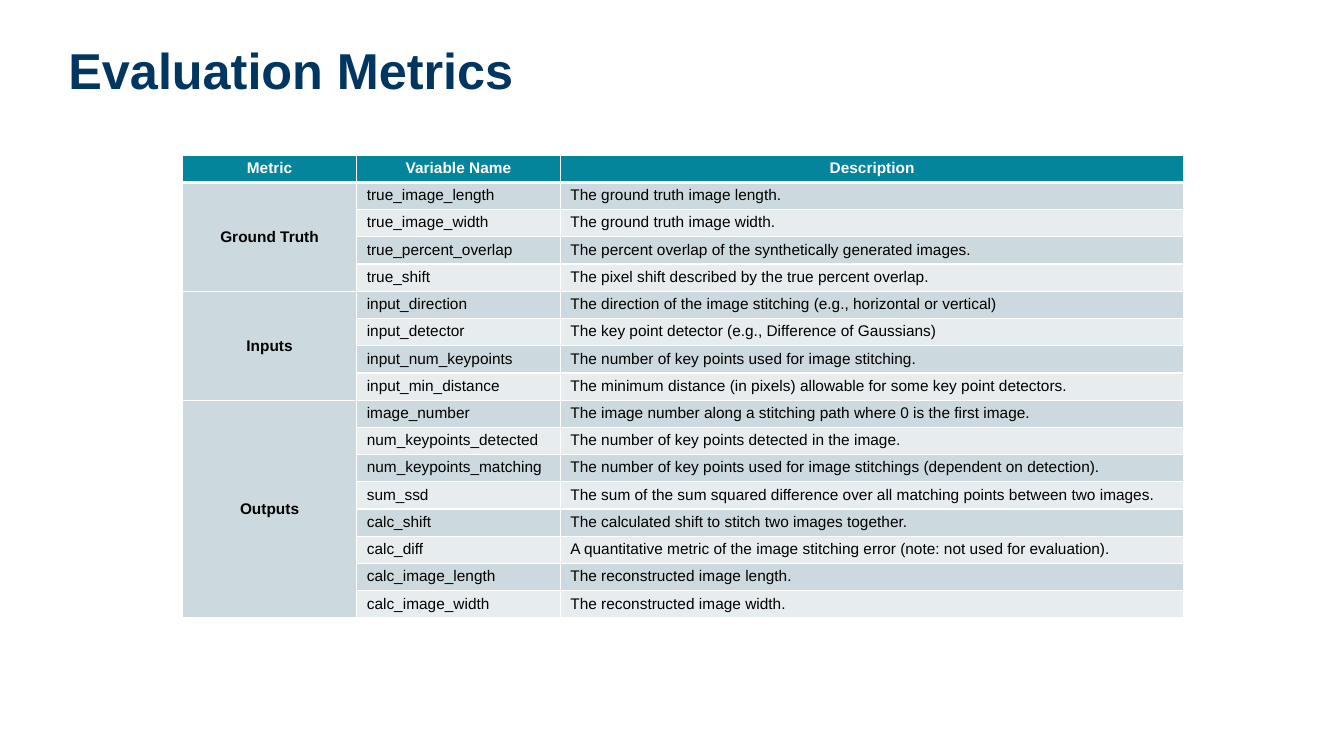
from lxml import etree
from pptx import Presentation
from pptx.dml.color import RGBColor
from pptx.enum import text
from pptx.oxml import ns
from pptx.util import Cm, Pt

COLORS = {
    "title": "003660",
    "header": "04859B",
    "dark_band": "CCD9DE",
    "light_band": "E7EDEF",
    "white": "FFFFFF",
    "black": "000000",
}
FONT = "Arial"
HEADINGS = ["Metric", "Variable Name", "Description"]
COLUMN_WIDTHS = [4.39, 5.13, 15.72]
METRICS = {
    "Ground Truth": [
        ("true_image_length", "The ground truth image length."),
        ("true_image_width", "The ground truth image width."),
        ("true_percent_overlap", "The percent overlap of the synthetically generated images."),
        ("true_shift", "The pixel shift described by the true percent overlap."),
    ],
    "Inputs": [
        ("input_direction", "The direction of the image stitching (e.g., horizontal or vertical)"),
        ("input_detector", "The key point detector (e.g., Difference of Gaussians)"),
        ("input_num_keypoints", "The number of key points used for image stitching."),
        ("input_min_distance", "The minimum distance (in pixels) allowable for some key point detectors."),
    ],
    "Outputs": [
        ("image_number", "The image number along a stitching path where 0 is the first image."),
        ("num_keypoints_detected", "The number of key points detected in the image."),
        ("num_keypoints_matching", "The number of key points used for image stitchings (dependent on detection)."),
        ("sum_ssd", "The sum of the sum squared difference over all matching points between two images."),
        ("calc_shift", "The calculated shift to stitch two images together."),
        ("calc_diff", "A quantitative metric of the image stitching error (note: not used for evaluation)."),
        ("calc_image_length", "The reconstructed image length."),
        ("calc_image_width", "The reconstructed image width."),
    ],
}


def format_font(paragraph, size, color, bold):
    font = paragraph.font
    font.name, font.size, font.bold = FONT, Pt(size), bold
    font.color.rgb = RGBColor.from_string(COLORS[color])


def set_borders(cell, top, bottom):
    properties = cell._tc.get_or_add_tcPr()
    for side, width in (("L", 1), ("R", 1), ("T", top), ("B", bottom)):
        line = etree.SubElement(properties, ns.qn(f"a:ln{side}"), w=str(Pt(width)))
        fill = etree.SubElement(line, ns.qn("a:solidFill"))
        etree.SubElement(fill, ns.qn("a:srgbClr"), val=COLORS["white"])


def style_cell(cell, row, fill, color="black", bold=False, centered=False):
    set_borders(cell, 3 if row == 1 else 1, 3 if row == 0 else 1)
    cell.fill.solid()
    cell.fill.fore_color.rgb = RGBColor.from_string(COLORS[fill])
    cell.margin_top = cell.margin_bottom = Cm(0.11)
    paragraph = cell.text_frame.paragraphs[0]
    paragraph.alignment = text.PP_ALIGN.CENTER if centered else text.PP_ALIGN.LEFT
    format_font(paragraph, 11, color, bold)


def add_title(slide, left, top, width, height):
    title = slide.shapes.title
    title.left, title.top, title.width, title.height = left, top, width, height
    frame = title.text_frame
    frame.text = "Evaluation Metrics"
    frame.vertical_anchor = text.MSO_ANCHOR.BOTTOM
    paragraph = frame.paragraphs[0]
    paragraph.alignment = text.PP_ALIGN.LEFT
    paragraph.line_spacing = 0.9
    format_font(paragraph, 36, "title", True)


def add_metrics_table(slide, left, top, width, height):
    row_count = 1 + sum(len(variables) for variables in METRICS.values())
    table = slide.shapes.add_table(row_count, len(HEADINGS), left, top, width, height).table
    for column, column_width in zip(table.columns, COLUMN_WIDTHS):
        column.width = Cm(column_width)
    for column, heading in enumerate(HEADINGS):
        cell = table.cell(0, column)
        cell.text = heading
        style_cell(cell, 0, "header", "white", True, True)

    row = 1
    for metric, variables in METRICS.items():
        group = table.cell(row, 0)
        group.merge(table.cell(row + len(variables) - 1, 0))
        group.text = metric
        group.vertical_anchor = text.MSO_ANCHOR.MIDDLE
        for values in variables:
            style_cell(table.cell(row, 0), row, "dark_band", bold=True, centered=True)
            band = "dark_band" if row % 2 else "light_band"
            for column, value in enumerate(values, 1):
                cell = table.cell(row, column)
                cell.text = value
                style_cell(cell, row, band)
            row += 1


def main():
    presentation = Presentation()
    presentation.slide_width, presentation.slide_height = Cm(33.87), Cm(19.05)
    slide = presentation.slides.add_slide(presentation.slide_layouts[5])
    add_title(slide, Cm(1.47), Cm(1.02), Cm(30.94), Cm(1.65))
    add_metrics_table(slide, Cm(4.6), Cm(3.91), Cm(sum(COLUMN_WIDTHS)), Cm(11.67))
    presentation.save("out.pptx")


if __name__ == "__main__":
    main()
